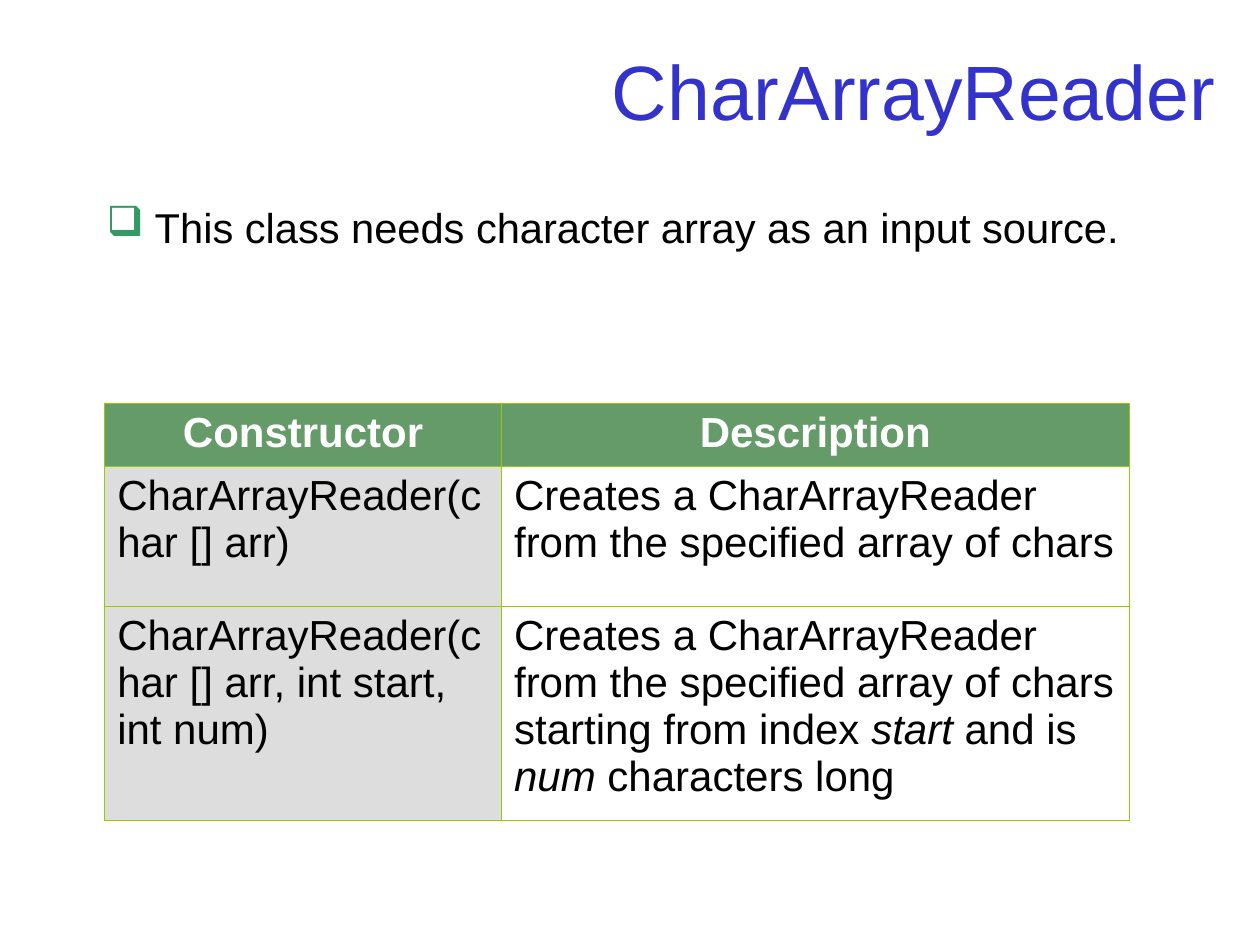
from dataclasses import dataclass

from lxml import etree
from pptx import Presentation
from pptx.dml.color import RGBColor
from pptx.enum.text import MSO_ANCHOR, PP_ALIGN
from pptx.oxml.ns import qn
from pptx.slide import Slide
from pptx.table import _Cell
from pptx.text.text import _Paragraph
from pptx.util import Cm, Pt

LEFT, CENTER, RIGHT = PP_ALIGN.LEFT, PP_ALIGN.CENTER, PP_ALIGN.RIGHT
TOP, MIDDLE = MSO_ANCHOR.TOP, MSO_ANCHOR.MIDDLE

COLORS = {
    "title": "3333CC",
    "text": "000000",
    "bullet": "339966",
    "header": "659B68",
    "header_text": "FFFFFF",
    "constructor": "DDDDDD",
    "description": "FFFFFF",
    "border": "99CC00",
}
FONT = "Arial"
BORDER_WIDTH = Pt(0.45)
COLUMN_WIDTHS = (8, 12.65)
ROW_HEIGHTS = (1.27, 2.82, 4.32)


@dataclass(frozen=True)
class TextLine:
    text: str
    top: float
    width: float
    size: float
    color: str
    align: PP_ALIGN
    anchor: MSO_ANCHOR
    bullet: str = ""


@dataclass(frozen=True)
class Constructor:
    signature: str
    description: tuple[str, ...]


TITLE = TextLine("CharArrayReader", 0.71, 22.86, 44, "title", RIGHT, MIDDLE)
SUMMARY = TextLine("This class needs character array as an input source.",
                   3.94, 21.21, 23.8, "text", LEFT, TOP, "❑")
HEADINGS = ("Constructor", "Description")
CONSTRUCTORS = (
    Constructor("CharArrayReader(char [] arr)",
                ("Creates a CharArrayReader from the specified array of chars",)),
    Constructor("CharArrayReader(char [] arr, int start, int num)",
                ("Creates a CharArrayReader from the specified array of chars "
                 "starting from index ", "start", " and is ", "num",
                 " characters long")),
)


def format_runs(paragraph: _Paragraph, size: float, color: str, bold: bool = False) -> None:
    for run in paragraph.runs:
        run.font.name = FONT
        run.font.size = Pt(size)
        run.font.bold = bold
        run.font.color.rgb = RGBColor.from_string(COLORS[color])


def add_bullet(paragraph: _Paragraph, symbol: str) -> None:
    properties = paragraph._p.get_or_add_pPr()
    properties.set("marL", str(Cm(0.97)))
    properties.set("indent", str(-Cm(0.97)))
    bullet_color = etree.SubElement(properties, qn("a:buClr"))
    etree.SubElement(bullet_color, qn("a:srgbClr"), val=COLORS["bullet"])
    etree.SubElement(properties, qn("a:buChar"), char=symbol)


def draw_line(slide: Slide, line: TextLine) -> None:
    box = slide.shapes.add_textbox(Cm(1.9), Cm(line.top), Cm(line.width), Cm(2.21))
    frame = box.text_frame
    frame.word_wrap = True
    frame.vertical_anchor = line.anchor
    frame.text = line.text
    paragraph = frame.paragraphs[0]
    paragraph.alignment = line.align
    if line.bullet:
        add_bullet(paragraph, line.bullet)
    format_runs(paragraph, line.size, line.color)


def add_borders(cell: _Cell) -> None:
    properties = cell._tc.get_or_add_tcPr()
    for position, side in enumerate(("a:lnL", "a:lnR", "a:lnT", "a:lnB")):
        border = etree.Element(qn(side), w=str(BORDER_WIDTH))
        fill = etree.SubElement(border, qn("a:solidFill"))
        etree.SubElement(fill, qn("a:srgbClr"), val=COLORS["border"])
        properties.insert(position, border)


def fill_cell(cell: _Cell, parts: tuple[str, ...], background: str,
              is_header: bool = False) -> None:
    paragraph = cell.text_frame.paragraphs[0]
    paragraph.alignment = CENTER if is_header else LEFT
    for position, part in enumerate(parts):
        run = paragraph.add_run()
        run.text = part
        run.font.italic = position % 2 == 1
    format_runs(paragraph, 24, "header_text" if is_header else "text", is_header)
    cell.fill.solid()
    cell.fill.fore_color.rgb = RGBColor.from_string(COLORS[background])
    add_borders(cell)


def draw_constructors(slide: Slide) -> None:
    table = slide.shapes.add_table(
        len(ROW_HEIGHTS), len(COLUMN_WIDTHS), Cm(2.11), Cm(8.13),
        Cm(sum(COLUMN_WIDTHS)), Cm(sum(ROW_HEIGHTS))).table
    table.horz_banding = False
    for column, width in zip(table.columns, COLUMN_WIDTHS):
        column.width = Cm(width)
    for row, height in zip(table.rows, ROW_HEIGHTS):
        row.height = Cm(height)
    for column, heading in enumerate(HEADINGS):
        fill_cell(table.cell(0, column), (heading,), "header", True)
    for row, constructor in enumerate(CONSTRUCTORS, start=1):
        fill_cell(table.cell(row, 0), (constructor.signature,), "constructor")
        fill_cell(table.cell(row, 1), constructor.description, "description")


def main() -> None:
    presentation = Presentation()
    presentation.slide_width = Cm(25.4)
    presentation.slide_height = Cm(19.05)
    slide = presentation.slides.add_slide(presentation.slide_layouts[6])
    for line in (TITLE, SUMMARY):
        draw_line(slide, line)
    draw_constructors(slide)
    presentation.save("out.pptx")


if __name__ == "__main__":
    main()
